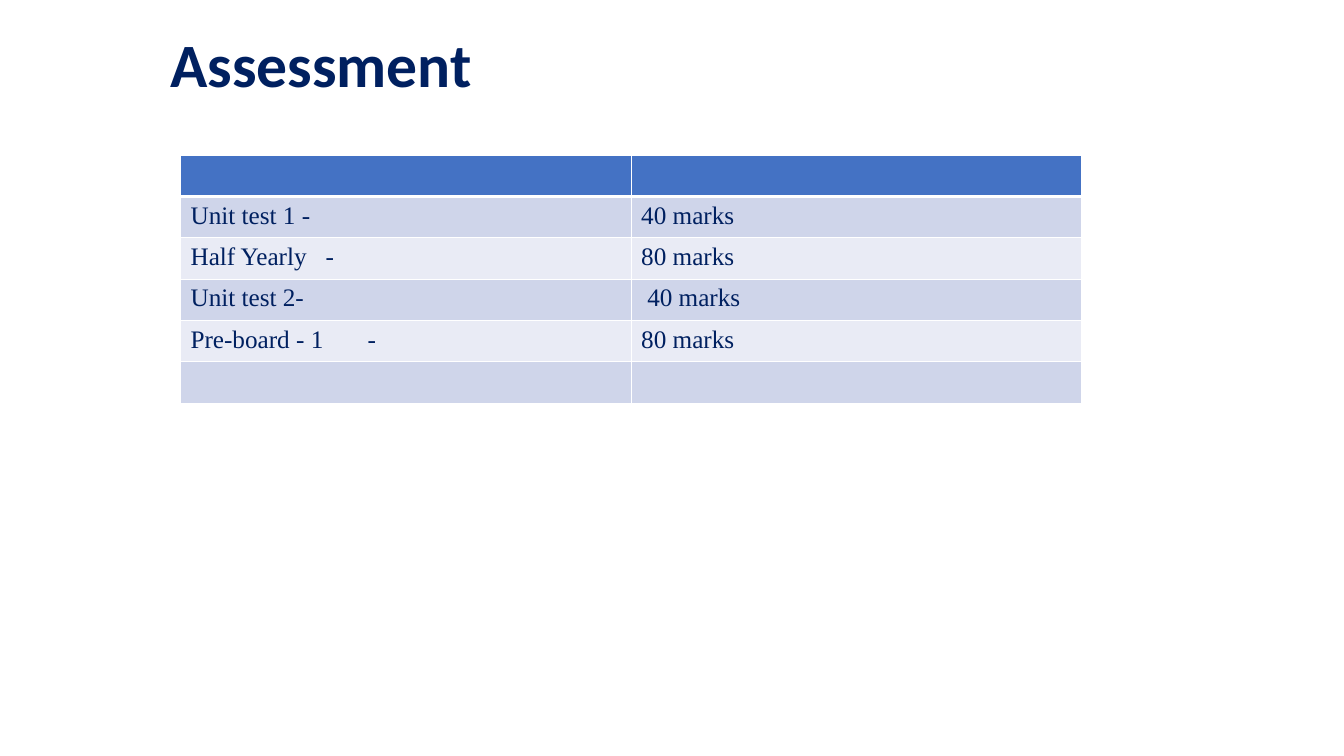
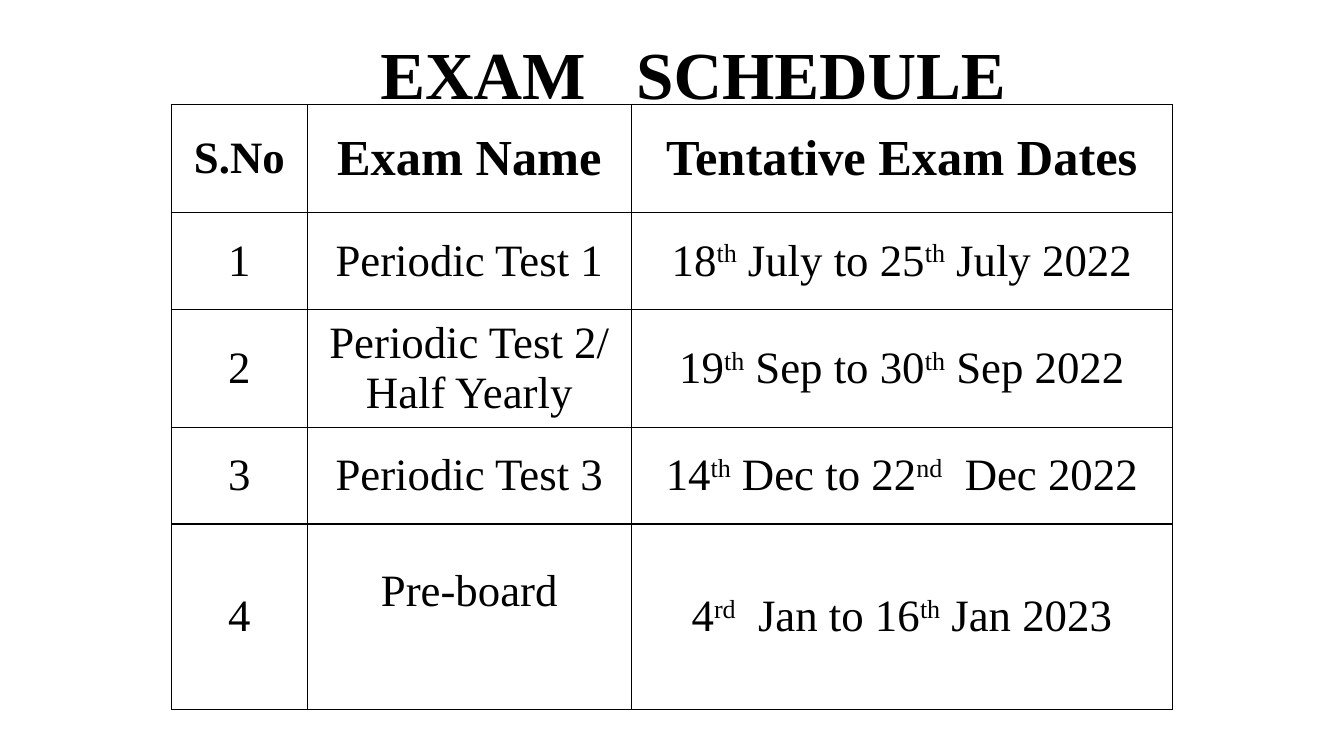
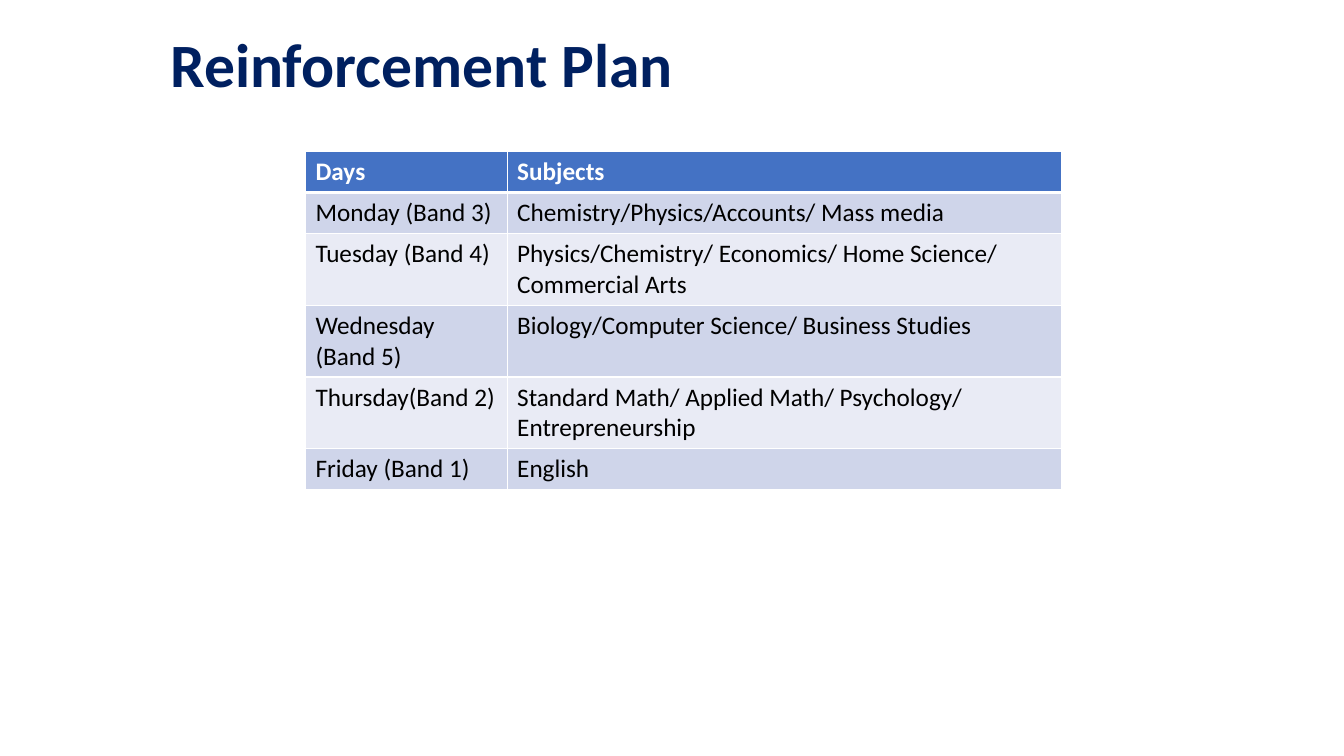
from dataclasses import dataclass

from lxml import etree
from pptx import Presentation
from pptx.dml.color import RGBColor
from pptx.enum.text import MSO_ANCHOR, MSO_AUTO_SIZE, PP_ALIGN
from pptx.oxml.ns import qn
from pptx.util import Inches, Pt

LEFT, CENTER = PP_ALIGN.LEFT, PP_ALIGN.CENTER
TOP, MIDDLE = MSO_ANCHOR.TOP, MSO_ANCHOR.MIDDLE
NO_AUTOFIT = MSO_AUTO_SIZE.NONE
TITLE_ONLY = 5


@dataclass(frozen=True)
class Theme:
    navy: str = "002060"
    black: str = "000000"
    white: str = "FFFFFF"
    header_fill: str = "4472C4"
    bands: tuple = ("CFD5EA", "E9EBF5")
    sans: str = "Calibri"
    serif: str = "Times New Roman"
    title_size: int = 44
    schedule_title_size: int = 48
    schedule_header_size: int = 36
    schedule_size: int = 32
    table_size: int = 18
    thin: int = 1
    thick: int = 3


THEME = Theme()


# Text: ^ switches superscript on and off, ~ is a space widened by gap points
def add_run(para, words, size, font, color, bold, raised=False, spacing=0):
    span = para.add_run()
    span.text = words
    span.font.size = Pt(size)
    span.font.name = font
    span.font.bold = bold
    span.font.color.rgb = RGBColor.from_string(color)
    properties = span._r.get_or_add_rPr()
    if raised:
        properties.set("baseline", "30000")
    if spacing:
        properties.set("spc", str(spacing * 100))


def write_text(frame, text, *, size, font, color, bold=False, align=LEFT,
               line_spacing=1.0, gap=0):
    para = frame.paragraphs[0]
    para.alignment = align
    para.line_spacing = line_spacing
    look = (size, font, color, bold)
    for index, part in enumerate(text.split("^")):
        for place, words in enumerate(part.split("~")):
            if place:
                add_run(para, " ", *look, spacing=gap)
            if words:
                add_run(para, words, *look, raised=index % 2 == 1)


# Titles
def add_page(deck, title, *, at=None, anchor=MIDDLE, **text_format):
    page = deck.slides.add_slide(deck.slide_layouts[TITLE_ONLY])
    box = page.shapes.title
    if at:
        box.left, box.top, box.width, box.height = map(Inches, at)
    frame = box.text_frame
    frame.auto_size = NO_AUTOFIT
    frame.word_wrap = True
    frame.vertical_anchor = anchor
    write_text(frame, title, **text_format)
    return page


# Tables
def set_borders(cell, color, **widths):
    properties = cell._tc.get_or_add_tcPr()
    for side in ("L", "R", "T", "B"):
        width = Pt(widths.get(side, THEME.thin))
        line = etree.SubElement(properties, qn("a:ln" + side), w=str(width))
        fill = etree.SubElement(line, qn("a:solidFill"))
        etree.SubElement(fill, qn("a:srgbClr"), val=color)


def add_table(page, rows, left, top, columns, heights):
    frame = page.shapes.add_table(
        len(rows), len(columns), Inches(left), Inches(top),
        Inches(sum(columns)), Inches(sum(heights)))
    table = frame.table
    table.horz_banding = False
    for column, width in zip(table.columns, columns):
        column.width = Inches(width)
    for row, height in zip(table.rows, heights):
        row.height = Inches(height)
    return table


def fill_cell(cell, content, **text_format):
    """Content is a text, or a text with its own margins and format."""
    text, own = content if isinstance(content, tuple) else (content, {})
    own = dict(own)
    cell.margin_left = Inches(own.pop("margin_left", 0.1))
    cell.margin_bottom = Inches(own.pop("margin_bottom", 0.05))
    if text:
        write_text(cell.text_frame, text, **{**text_format, **own})


def add_banded_table(page, rows, left, top, columns, font, color):
    table = add_table(page, rows, left, top, columns, [0.41] * len(rows))
    for row_number, row in enumerate(rows):
        header = row_number == 0
        edges = {0: {"B": THEME.thick}, 1: {"T": THEME.thick}}.get(row_number, {})
        fill = THEME.header_fill if header else THEME.bands[(row_number - 1) % 2]
        for column_number, content in enumerate(row):
            cell = table.cell(row_number, column_number)
            set_borders(cell, THEME.white, **edges)
            cell.fill.solid()
            cell.fill.fore_color.rgb = RGBColor.from_string(fill)
            fill_cell(cell, content, size=THEME.table_size, font=font,
                      color=THEME.white if header else color, bold=header)


def add_ruled_table(page, rows, left, top, columns, heights):
    table = add_table(page, rows, left, top, columns, heights)
    for row_number, row in enumerate(rows):
        for column_number, content in enumerate(row):
            cell = table.cell(row_number, column_number)
            set_borders(cell, THEME.black)
            cell.fill.background()
            cell.vertical_anchor = MIDDLE
            fill_cell(cell, content, size=THEME.schedule_size,
                      font=THEME.serif, color=THEME.black,
                      bold=row_number == 0, align=CENTER)


# Pages
def add_assessment(deck, title_format):
    page = add_page(deck, "Assessment", **title_format)
    rows = [
        ("", ""),
        ("Unit test 1 -", "40 marks"),
        (("Half Yearly~-", {"gap": 9}), "80 marks"),
        ("Unit test 2-", ("40 marks", {"margin_left": 0.16})),
        (("Pre-board - 1~-", {"gap": 27}), "80 marks"),
        ("", ""),
    ]
    add_banded_table(page, rows, 1.79, 1.54, [4.47, 4.47],
                     THEME.serif, THEME.navy)


def add_exam_schedule(deck):
    page = add_page(deck, "EXAM~SCHEDULE", at=(2.12, 0.27, 9.51, 0.91),
                    anchor=TOP, size=THEME.schedule_title_size,
                    font=THEME.serif, color=THEME.black, bold=True,
                    align=CENTER, gap=24)
    large = {"size": THEME.schedule_header_size}
    wide = {"gap": 8}
    rows = [
        ("S.No", ("Exam Name", large), ("Tentative Exam Dates", large)),
        ("1", "Periodic Test 1", "18^th^ July to 25^th^ July 2022"),
        ("2", "Periodic Test 2/ Half Yearly", "19^th^ Sep to 30^th^ Sep 2022"),
        ("3", "Periodic Test 3", ("14^th^ Dec to 22^nd^~Dec 2022", wide)),
        ("4", ("Pre-board", {"margin_bottom": 0.55}),
         ("4^rd^~Jan to 16^th^ Jan 2023", wide)),
    ]
    add_ruled_table(page, rows, 1.7, 1.04, [1.35, 3.21, 5.37],
                    [1.07, 0.96, 1.17, 0.96, 1.84])


def add_reinforcement_plan(deck, title_format):
    page = add_page(deck, "Reinforcement Plan", **title_format)
    rows = [
        ("Days", "Subjects"),
        ("Monday (Band 3)", "Chemistry/Physics/Accounts/ Mass media"),
        ("Tuesday (Band 4)",
         "Physics/Chemistry/ Economics/ Home Science/ Commercial Arts"),
        ("Wednesday (Band 5)", "Biology/Computer Science/ Business Studies"),
        ("Thursday(Band 2)",
         "Standard Math/ Applied Math/ Psychology/ Entrepreneurship"),
        ("Friday (Band 1)", "English"),
    ]
    add_banded_table(page, rows, 3.03, 1.5, [2, 5.5], THEME.sans, THEME.black)


def main():
    deck = Presentation()
    deck.slide_width, deck.slide_height = Inches(13.33), Inches(7.5)
    title_format = {"at": (1.59, 0.15, 10.03, 1.04), "size": THEME.title_size,
                    "font": THEME.sans, "color": THEME.navy, "bold": True,
                    "line_spacing": 0.9}
    add_assessment(deck, title_format)
    add_exam_schedule(deck)
    add_reinforcement_plan(deck, title_format)
    deck.save("out.pptx")


if __name__ == "__main__":
    main()
